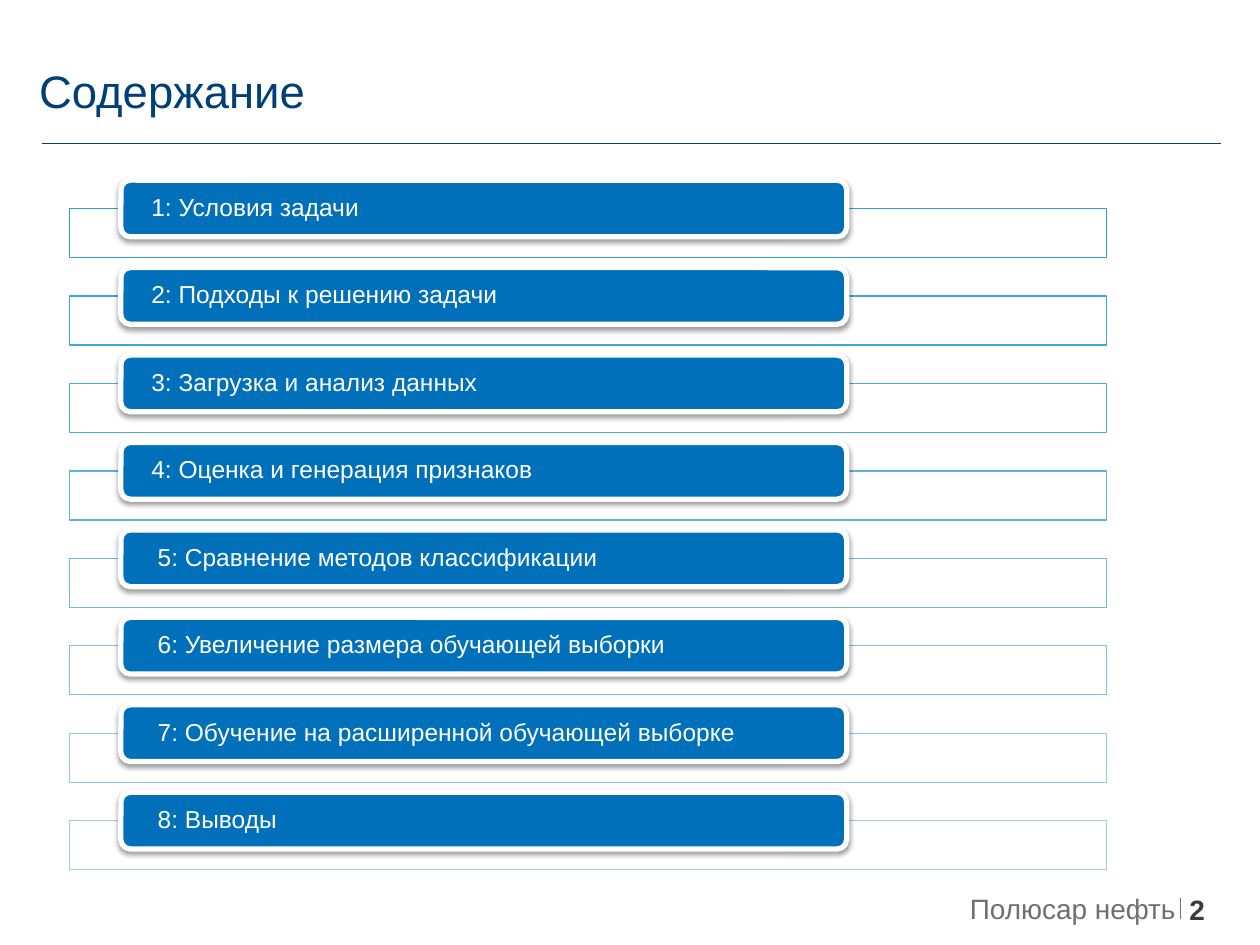
from pptx import Presentation
from pptx.dml.color import RGBColor
from pptx.enum.shapes import MSO_CONNECTOR, MSO_SHAPE
from pptx.enum.text import MSO_ANCHOR as Anchor, PP_ALIGN as Align
from pptx.oxml import parse_xml
from pptx.oxml.ns import nsdecls
from pptx.util import Inches, Pt

NAVY = RGBColor(0x00, 0x40, 0x77)
BLUE = RGBColor(0x00, 0x70, 0xBA)
WHITE = RGBColor(0xFF, 0xFF, 0xFF)
GRAY = RGBColor(0x70, 0x6F, 0x6F)
DARK = RGBColor(0x3C, 0x3C, 0x3C)

TITLE = "Содержание"
COMPANY = "Полюсар нефть"
PAGE = "2"
TEXT_INSET, INDENTED_INSET = 0.22, 0.27
SECTIONS = [
    ("1: Условия задачи", TEXT_INSET, "2BA3D3"),
    ("2: Подходы к решению задачи", TEXT_INSET, "3AA9D9"),
    ("3: Загрузка и анализ данных", TEXT_INSET, "49AFDD"),
    ("4: Оценка и генерация признаков", TEXT_INSET, "59B4E1"),
    ("5: Сравнение методов классификации", INDENTED_INSET, "69BBE5"),
    ("6: Увеличение размера обучающей выборки", INDENTED_INSET, "7AC1E9"),
    ("7: Обучение на расширенной обучающей выборке", INDENTED_INSET, "8AC8EC"),
    ("8: Выводы", INDENTED_INSET, "9BCFF0"),
]
RULES = [
    ((0.33, 1.14, 9.69, 1.14), NAVY, 1),
    ((9.37, 7.13, 9.37, 7.29), GRAY, 0.75),
]
FOOTER = [
    (PAGE, (9.44, 7.08, 0.56, 0.19), Anchor.TOP, Align.LEFT, DARK, True),
    (COMPANY, (5.94, 7.07, 3.39, 0.27), Anchor.MIDDLE, Align.RIGHT, GRAY, False),
]
FIRST_TOP, ROW_STEP = 1.43, 0.694
FRAME_OFFSET = 0.225
SHADOW = (
    f'<a:effectLst {nsdecls("a")}><a:outerShdw blurRad="{Pt(3.1)}" '
    f'dist="{Pt(1.6)}" dir="5400000" rotWithShape="0"><a:srgbClr val="000000">'
    '<a:alpha val="38000"/></a:srgbClr></a:outerShdw></a:effectLst>'
)


def inches(box):
    return [Inches(value) for value in box]


def write(shape, text, size, color, bold=False, anchor=Anchor.MIDDLE,
          align=Align.LEFT, inset=0, right=0, spacing=1.0):
    frame = shape.text_frame
    frame.text = text
    paragraph = frame.paragraphs[0]
    formats = {
        frame: {"word_wrap": True, "vertical_anchor": anchor,
                "margin_left": Inches(inset), "margin_right": Inches(right),
                "margin_top": 0, "margin_bottom": 0},
        paragraph: {"alignment": align, "line_spacing": spacing},
        paragraph.runs[0].font: {"name": "Arial", "size": Pt(size), "bold": bold},
    }
    for target, values in formats.items():
        for name, value in values.items():
            setattr(target, name, value)
    paragraph.runs[0].font.color.rgb = color


def add_box(slide, preset, box, fill, line, width):
    shape = slide.shapes.add_shape(preset, *inches(box))
    shape.shadow.inherit = False
    shape.fill.solid()
    shape.fill.fore_color.rgb = fill
    shape.line.color.rgb = line
    shape.line.width = Pt(width)
    return shape


def add_rule(slide, ends, color, width):
    rule = slide.shapes.add_connector(MSO_CONNECTOR.STRAIGHT, *inches(ends))
    rule.line.color.rgb = color
    rule.line.width = Pt(width)
    rule._element.spPr.append(parse_xml(f'<a:effectLst {nsdecls("a")}/>'))


def add_section(slide, index, text, inset, outline):
    top = FIRST_TOP + index * ROW_STEP
    frame_box = (0.55, top + FRAME_OFFSET, 8.23, 0.39)
    add_box(slide, MSO_SHAPE.RECTANGLE, frame_box, WHITE,
            RGBColor.from_string(outline), 0.75)
    label = add_box(slide, MSO_SHAPE.ROUNDED_RECTANGLE,
                    (0.96, top, 5.76, 0.45), BLUE, WHITE, 3)
    properties = label._element.spPr
    for effects in properties.findall("{*}effectLst"):
        properties.replace(effects, parse_xml(SHADOW))
    write(label, text, 14, WHITE, inset=inset, right=TEXT_INSET, spacing=0.9)


def main():
    presentation = Presentation()
    presentation.slide_width, presentation.slide_height = Inches(10), Inches(7.5)
    slide = presentation.slides.add_slide(presentation.slide_layouts[5])

    title = slide.shapes.title
    title.left, title.top, title.width, title.height = inches((0.31, 0.28, 9.37, 0.66))
    write(title, TITLE, 26, NAVY, anchor=Anchor.BOTTOM, spacing=0.9)

    for rule in RULES:
        add_rule(slide, *rule)
    for text, box, anchor, align, color, bold in FOOTER:
        write(slide.shapes.add_textbox(*inches(box)), text, 16, color, bold,
              anchor, align)
    for index, section in enumerate(SECTIONS):
        add_section(slide, index, *section)

    presentation.save("out.pptx")


if __name__ == "__main__":
    main()
